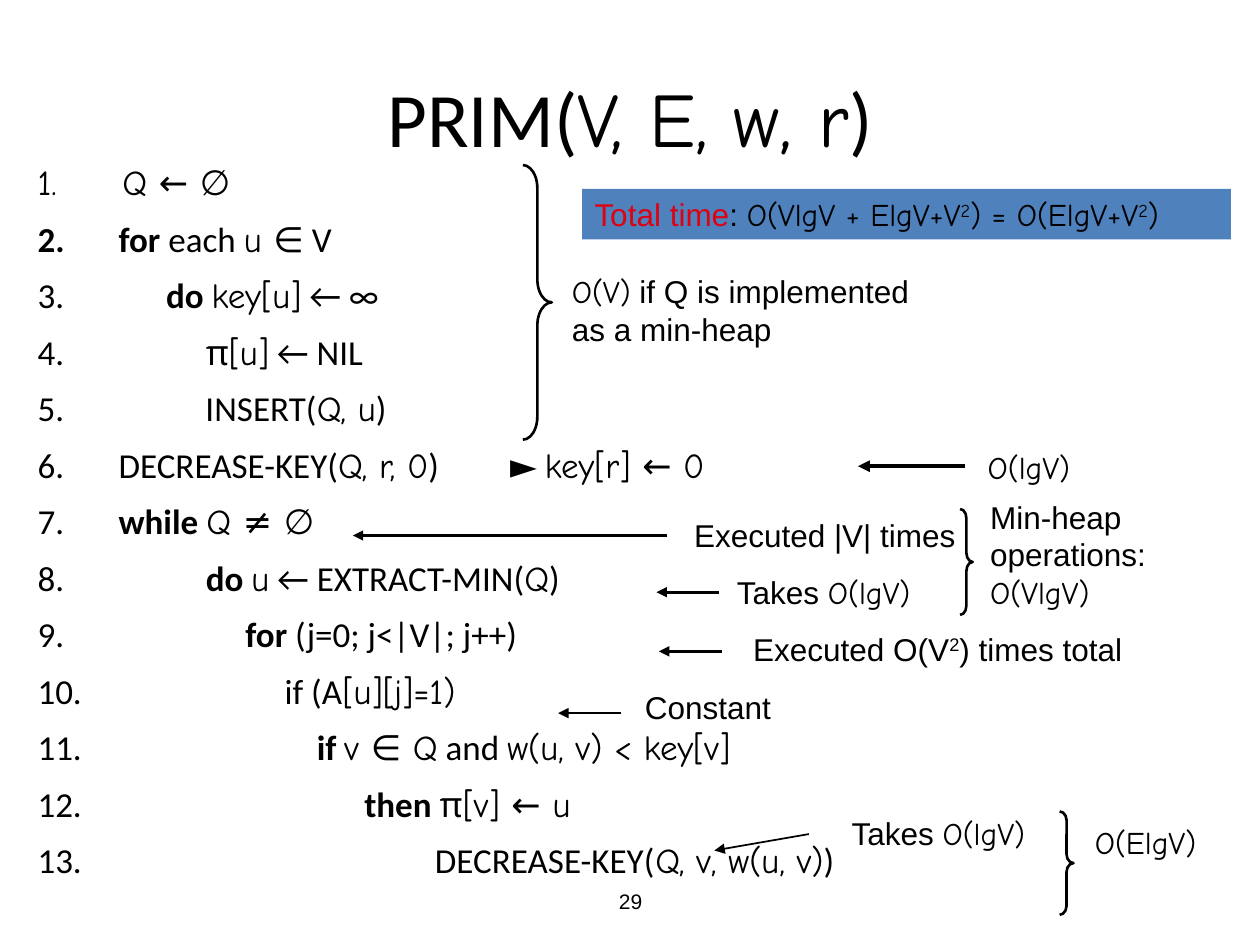
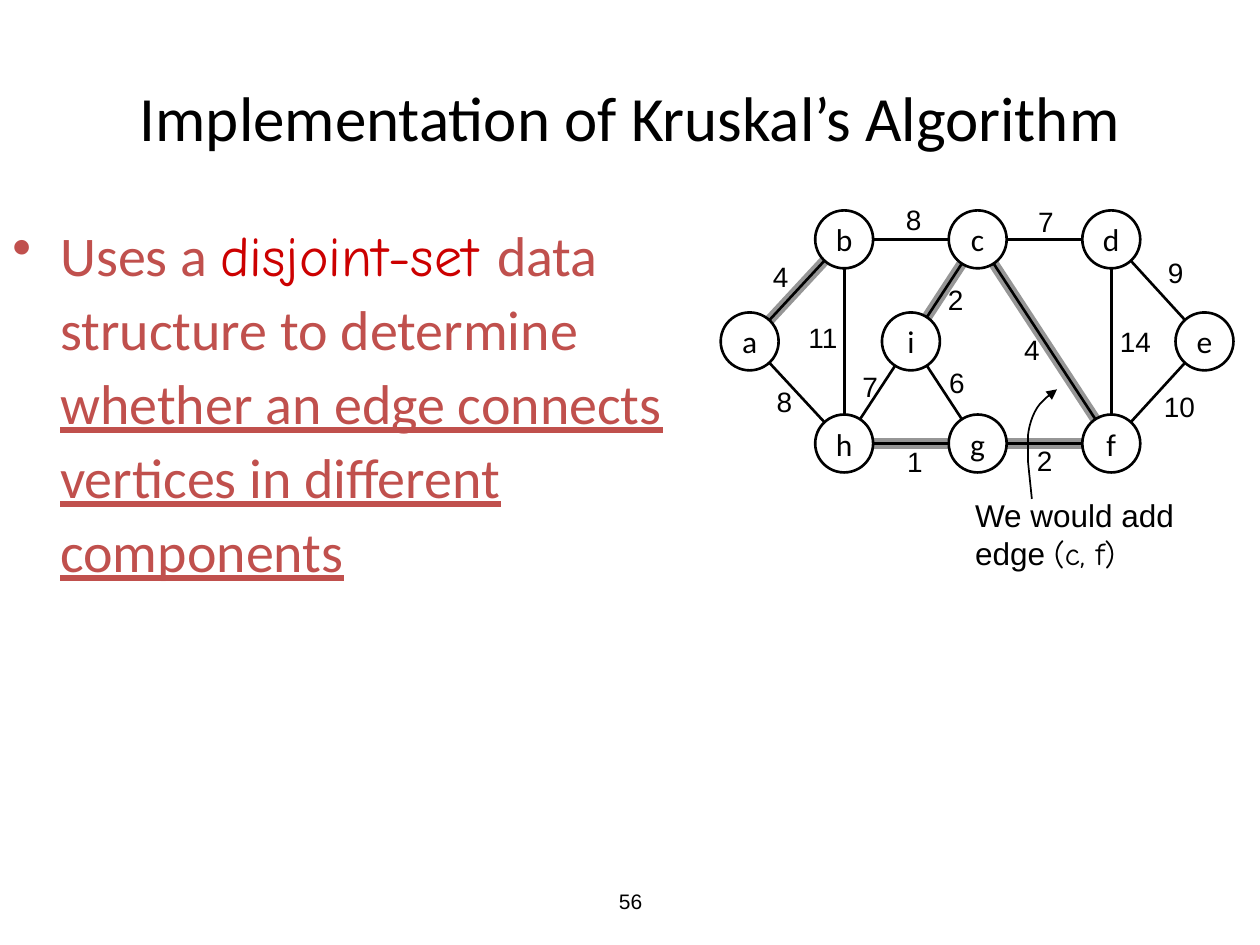
import math
from dataclasses import dataclass

from lxml import etree
from pptx import Presentation
from pptx import util as u
from pptx.dml.color import RGBColor
from pptx.enum import shapes, text
from pptx.oxml.ns import qn

COLS, ROWS = 100, 75
SHAPE = shapes.MSO_SHAPE
ALIGN = text.PP_ALIGN


@dataclass(frozen=True)
class Theme:
    ink: str = "000000"
    band: str = "4F81BD"
    warning: str = "DD0111"
    brick: str = "C0504D"
    term: str = "CC0000"
    tree: str = "969696"
    heading: str = "Calibri"
    note: str = "Arial"
    math: str = "Comic Neue"
    page_pt: int = 12
    weight_pt: int = 16
    note_pt: int = 18
    code_pt: int = 20
    bullet_pt: int = 32
    line_pt: float = 1.5
    thin_pt: float = 1
    thick_pt: float = 2.25
    tree_pt: float = 6


T = Theme()

CODE = [
    "~ Q ← ∅~",
    "* for *each ~u ~∈ V",
    "       *do *~key[u]~ ← ∞",
    "            ~π[u]~ ← NIL",
    "            INSERT(~Q, u~)",
    " DECREASE-KEY(~Q, r, 0~)\t► ~key[r] ← 0~",
    " *while *~Q ≠ ∅~",
    "            *do *~u~ ← EXTRACT-MIN(~Q~)",
    "                 *for *(j=0; j<|V|; j++)",
    "                      if (A~[u][j]=1)~",
    "                          *if *~v ∈ Q~ and ~w(u, v) < key[v]~",
    "                                *then *~π[v] ← u~",
    "                                         DECREASE-KEY(~Q, v, w(u, v)~)",
]

COST_NOTES = [
    (44.4, 21.1, 31.4, 7, ["~O(V)~ if Q is implemented as a min-heap"]),
    (54.1, 40.5, 23.5, 4, ["Executed |V| times"]),
    (57.5, 45, 17.8, 4, ["Takes ~O(lgV)~"]),
    (77.6, 39, 18, 10, ["Min-heap operations:", "~O(VlgV)~"]),
    (58.8, 49.5, 32.7, 4, ["Executed O(V^2^) times total"]),
    (50.2, 54.1, 12.8, 4, ["Constant"]),
    (66.6, 64.1, 17.8, 4, ["Takes ~O(lgV)~"]),
    (85.9, 64.8, 11.8, 4, ["~O(ElgV)~"]),
    (77.4, 35.1, 12, 4, ["~O(lgV)~"]),
]

COST_ARROWS = [
    ((52.9, 42.5), (28, 42.5), T.line_pt),
    ((57.1, 47), (52.1, 47), T.line_pt),
    ((57.3, 51.7), (52.3, 51.7), T.line_pt),
    ((49.3, 56.6), (44.3, 56.6), T.line_pt),
    ((76.6, 37), (68.1, 37), T.thick_pt),
    ((64.2, 66.2), (56.7, 67.5), T.thin_pt),
]

BRACES = [
    (41.5, 13.1, 2.3, 21.8, 0.8),
    (76.2, 40.4, 1, 8.4, 0.72),
    (84.1, 64.4, 1.1, 8.2, 0.64),
]

NODE = 4.6
TOP, MIDDLE, BOTTOM = (19 + 8.1 * row for row in range(3))
NODES = {
    "a": (59.5, MIDDLE), "b": (67, TOP), "c": (77.6, TOP),
    "d": (88.2, TOP), "e": (95.6, MIDDLE), "h": (67, BOTTOM),
    "g": (77.6, BOTTOM), "f": (88.2, BOTTOM), "i": (72.3, MIDDLE),
}
EDGES = [
    ("ab", 4, -1.3, -1.1), ("bc", 8, 0.2, -1.6), ("cd", 7, 0.1, -1.4),
    ("ah", 8, -1, 0.7), ("bh", 11, -1.7, -0.3), ("hg", 1, 0.3, 1.4),
    ("gf", 2, 0, 1.3), ("hi", 7, -0.6, -0.5), ("ic", 2, 0.9, 0.7),
    ("cf", 4, -1, 0.6), ("df", 14, 1.9, 0), ("de", 9, 1.4, -1.4),
    ("ef", 10, 1.7, 1.1), ("ig", 6, 1, -0.8),
]
TREE_EDGES = ["cf", "ab", "hg", "gf", "ic"]

HINT_CURVE = [
    (81.9, 39.6), (81.8, 38.6), (81.7, 37.7), (81.6, 36.7),
    (81.6, 36), (81.6, 35.3), (81.6, 34.5),
    (81.7, 33.6), (82.1, 32.4), (82.8, 31.8),
    (83.1, 31.5), (83.5, 31.2), (83.9, 30.9),
]


def grid(*cells):
    return [u.Inches(cell / 10) for cell in cells]


def rgb(value):
    return RGBColor.from_string(value)


def split_marks(markup):
    active, chunk = set(), ""
    for ch in markup:
        if ch in "~*^!_":
            if chunk:
                yield chunk, frozenset(active)
            active ^= {ch}
            chunk = ""
        else:
            chunk += ch
    if chunk:
        yield chunk, frozenset(active)


def write(p, markup, size, font=T.note, color=T.ink, accent=T.warning):
    for chunk, marks in split_marks(markup):
        r = p.add_run()
        r.text = chunk
        f = r.font
        f.size = u.Pt(size)
        f.name = T.math if "~" in marks else font
        f.bold = "*" in marks
        f.underline = "_" in marks
        f.color.rgb = rgb(accent if "!" in marks else color)
        if "^" in marks:
            r._r.get_or_add_rPr().set("baseline", "30000")


def fill_text(sp, lines, size, align=ALIGN.LEFT, anchor=text.MSO_ANCHOR.TOP,
              wrap=True, **style):
    tf = sp.text_frame
    tf.word_wrap = wrap
    tf.vertical_anchor = anchor
    for n, line in enumerate(lines):
        p = tf.add_paragraph() if n else tf.paragraphs[0]
        p.alignment = align
        write(p, line, size, **style)
    return tf


def add_text(s, box, lines, size=T.note_pt, **options):
    return fill_text(s.shapes.add_textbox(*grid(*box)), lines, size, **options)


def add_centred(s, box, line, size, **options):
    return add_text(s, box, [line], size, align=ALIGN.CENTER,
                    anchor=text.MSO_ANCHOR.MIDDLE, **options)


def add_outline(s, kind, box):
    sp = s.shapes.add_shape(kind, *grid(*box))
    sp.shadow.inherit = False
    sp.fill.background()
    sp.line.color.rgb = rgb(T.ink)
    sp.line.width = u.Pt(T.line_pt)
    return sp


def add_arrowhead(sp):
    etree.SubElement(sp.line._get_or_add_ln(), qn("a:tailEnd"), type="triangle")


def add_line(s, start, end, width=T.line_pt, color=T.ink, arrow=False):
    c = s.shapes.add_connector(shapes.MSO_CONNECTOR.STRAIGHT, *grid(*start, *end))
    c.line.color.rgb = rgb(color)
    c.line.width = u.Pt(width)
    if arrow:
        add_arrowhead(c)
    etree.SubElement(c._element.spPr, qn("a:effectLst"))


def add_curve(s, points):
    emu = [tuple(grid(*point)) for point in points]
    builder = s.shapes.build_freeform(*emu[0])
    builder.add_line_segments(emu[1:], close=False)
    sp = builder.convert_to_shape()
    sp.shadow.inherit = False
    sp.fill.background()
    sp.line.color.rgb = rgb(T.ink)
    sp.line.width = u.Pt(T.thin_pt)
    add_arrowhead(sp)
    path = next(sp._element.iter(qn("a:path")))
    for n, segment in enumerate(path.findall(qn("a:lnTo"))):
        if n % 3 == 0:
            curve = etree.SubElement(path, qn("a:cubicBezTo"))
        curve.append(segment[0])
        path.remove(segment)


def set_list(p, indent, spacing, before, tag, tab=None, **attrs):
    p.line_spacing = spacing
    p.space_before = u.Pt(before)
    pPr = p._p.get_or_add_pPr()
    pPr.set("marL", str(grid(indent)[0]))
    pPr.set("indent", str(-grid(indent)[0]))
    etree.SubElement(pPr, qn(tag), **attrs)
    if tab:
        stops = etree.SubElement(pPr, qn("a:tabLst"))
        etree.SubElement(stops, qn("a:tab"), pos=str(grid(tab)[0]), algn="l")


def add_slide(prs, title, title_pt, page):
    s = prs.slides.add_slide(prs.slide_layouts[6])
    add_centred(s, (5, 3, 90, 12.5), title, title_pt, font=T.heading)
    add_centred(s, (34.2, 69.5, 31.7, 4), page, T.page_pt)
    return s


def add_code(s, box, lines):
    tf = add_text(s, box, lines, T.code_pt, font=T.heading)
    for n, p in enumerate(tf.paragraphs):
        set_list(p, 5.8, 1.2, 3.5 if n else 0, "a:buAutoNum", tab=37.5,
                 type="arabicPeriod")


def add_edge(s, ends, **style):
    (x1, y1), (x2, y2) = (NODES[name] for name in ends)
    share = NODE / 2 / math.dist((x1, y1), (x2, y2))
    dx, dy = (x2 - x1) * share, (y2 - y1) * share
    add_line(s, (x1 + dx, y1 + dy), (x2 - dx, y2 - dy), **style)


def add_weight(s, ends, weight, dx, dy):
    (x1, y1), (x2, y2) = (NODES[name] for name in ends)
    w, h = 4.5, 3.7
    box = ((x1 + x2 - w) / 2 + dx, (y1 + y2 - h) / 2 + dy, w, h)
    add_centred(s, box, str(weight), T.weight_pt, wrap=False)


def add_graph(s):
    for ends in TREE_EDGES:
        add_edge(s, ends, width=T.tree_pt, color=T.tree)
    for name, (x, y) in NODES.items():
        sp = add_outline(s, SHAPE.OVAL, (x - NODE / 2, y - NODE / 2, NODE, NODE))
        fill_text(sp, [name], T.note_pt, align=ALIGN.CENTER, wrap=False,
                  anchor=text.MSO_ANCHOR.MIDDLE, font=T.heading)
    for ends, weight, dx, dy in EDGES:
        add_edge(s, ends)
        add_weight(s, ends, weight, dx, dy)


def build_prim(prs):
    s = add_slide(prs, "PRIM(~V, E, w, r~)", 44, "29")
    add_code(s, (2, 11.6, 92.7, 61.2), CODE)
    for *box, adjust in BRACES:
        add_outline(s, SHAPE.RIGHT_BRACE, box).adjustments[0] = adjust
    for *box, lines in COST_NOTES:
        add_text(s, box, lines)
    for start, end, width in COST_ARROWS:
        add_line(s, start, end, width, arrow=True)
    total = add_outline(s, SHAPE.RECTANGLE, (46.2, 15, 51.5, 4))
    total.fill.solid()
    total.fill.fore_color.rgb = rgb(T.band)
    total.line.fill.background()
    fill_text(total, ["!Total time!: ~O(VlgV + ElgV+V^2^) = O(ElgV+V^2^)~"], T.note_pt)


def build_kruskal(prs):
    s = add_slide(prs, "Implementation of Kruskal’s Algorithm", 36, "56")
    add_graph(s)
    add_text(s, (76.4, 38.9, 17.8, 7), ["We would add", "edge ~(c, f)~"], wrap=False)
    add_curve(s, HINT_CURVE)
    uses = ("Uses a ~!disjoint-set !~data structure to determine "
            "_whether an edge connects vertices in different components_")
    tf = add_text(s, (0, 16.5, 55.6, 36.3), [uses], T.bullet_pt,
                  font=T.heading, color=T.brick, accent=T.term)
    set_list(tf.paragraphs[0], 3.8, 1.1, 0, "a:buChar", char="•")


def main():
    prs = Presentation()
    prs.slide_width, prs.slide_height = grid(COLS, ROWS)
    build_prim(prs)
    build_kruskal(prs)
    prs.save("out.pptx")


if __name__ == "__main__":
    main()
